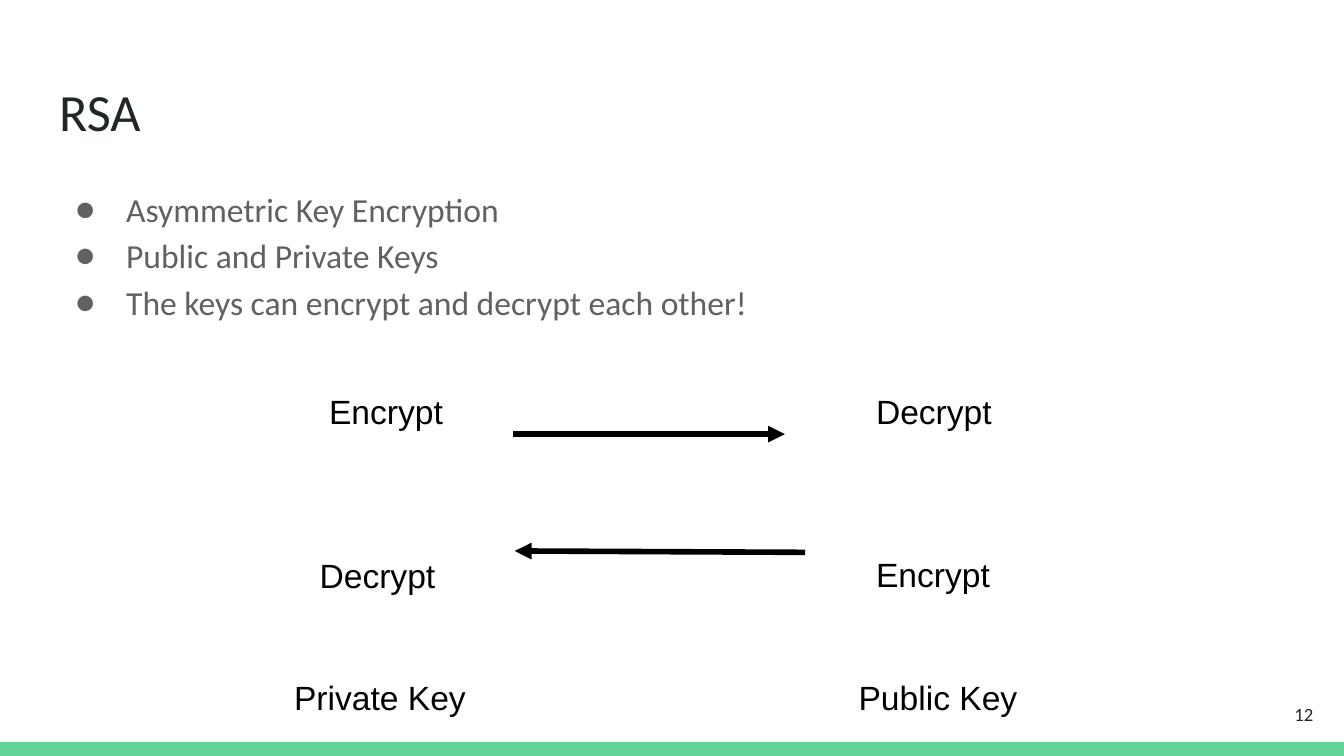
from dataclasses import dataclass

from lxml import etree
from pptx import Presentation
from pptx.dml.color import RGBColor
from pptx.enum import shapes, text
from pptx.oxml import ns
from pptx.util import Inches, Pt


@dataclass(frozen=True)
class Theme:
    ink: str = "202729"
    grey: str = "616161"
    black: str = "000000"
    green: str = "63D297"
    head: str = "Calibri"
    label: str = "Arial"
    big: int = 28
    mid: int = 18
    small: int = 10
    line: int = 3


THEME = Theme()


def rgb(code):
    return RGBColor.from_string(code)


def style(para, face, size, color):
    for run in para.runs:
        run.font.name = face
        run.font.size = Pt(size)
        run.font.color.rgb = rgb(color)


def set_frame(frame, anchor=text.MSO_ANCHOR.TOP):
    frame.word_wrap = True
    frame.auto_size = text.MSO_AUTO_SIZE.NONE
    frame.vertical_anchor = anchor
    frame.margin_left = frame.margin_right = Inches(0.1)
    frame.margin_top = frame.margin_bottom = Inches(0.1)


def add_text(slide, box, words, face, size, color, anchor=text.MSO_ANCHOR.TOP):
    shape = slide.shapes.add_textbox(*map(Inches, box))
    frame = shape.text_frame
    set_frame(frame, anchor)
    frame.text = words
    for para in frame.paragraphs:
        style(para, face, size, color)
    return frame


def add_bullet(para, face, color):
    props = para._p.get_or_add_pPr()
    props.set("marL", str(Inches(0.5)))
    props.set("indent", str(Inches(-0.38)))
    tint = etree.SubElement(props, ns.qn("a:buClr"))
    etree.SubElement(tint, ns.qn("a:srgbClr"), val=color)
    etree.SubElement(props, ns.qn("a:buFont"), typeface=face)
    etree.SubElement(props, ns.qn("a:buChar"), char="●")


def add_arrow(slide, start, end):
    line = slide.shapes.add_connector(
        shapes.MSO_CONNECTOR.STRAIGHT, *map(Inches, start + end))
    line.line.color.rgb = rgb(THEME.black)
    line.line.width = Pt(THEME.line)
    etree.SubElement(line.line._get_or_add_ln(), ns.qn("a:tailEnd"), type="triangle")
    etree.SubElement(line._element.spPr, ns.qn("a:effectLst"))


def add_title(slide, box, words):
    title = slide.shapes.title
    title.left, title.top, title.width, title.height = map(Inches, box)
    frame = title.text_frame
    set_frame(frame)
    frame.text = words
    para = frame.paragraphs[0]
    para.alignment = text.PP_ALIGN.LEFT
    style(para, THEME.head, THEME.big, THEME.ink)


def add_points(slide, box, points):
    frame = add_text(slide, box, "\n".join(points),
                     THEME.head, THEME.mid, THEME.grey)
    for para in frame.paragraphs:
        add_bullet(para, THEME.head, THEME.grey)
        para.line_spacing = 1.15


def add_flow(slide, box):
    """Show each key undoing the other, with the key names below."""
    left, top = box[:2]
    labels = [
        ("Encrypt", 0.26, 0, 2.2),
        ("Decrypt", 4.33, 0, 1.13),
        ("Decrypt", 0.19, 1.22, 1.13),
        ("Encrypt", 4.33, 1.21, 1.24),
        ("Private Key", 0, 2.13, 1.64),
        ("Public Key", 4.2, 2.13, 1.64),
    ]
    for words, x, y, wide in labels:
        add_text(slide, (left + x, top + y, wide, 0.43), words,
                 THEME.label, THEME.mid, THEME.black)
    add_arrow(slide, (left + 1.73, top + 0.42), (left + 3.75, top + 0.42))
    add_arrow(slide, (left + 3.9, top + 1.3), (left + 1.74, top + 1.29))


def add_foot(slide, box, number):
    left, top, wide, high = box
    bar = slide.shapes.add_shape(
        shapes.MSO_SHAPE.RECTANGLE, *map(Inches, box))
    bar.shadow.inherit = False
    bar.fill.solid()
    bar.fill.fore_color.rgb = rgb(THEME.green)
    bar.line.fill.background()
    frame = add_text(slide, (left + wide - 0.73, top - 0.42, 0.6, 0.43), number,
                     THEME.head, THEME.small, THEME.ink, text.MSO_ANCHOR.MIDDLE)
    frame.paragraphs[0].alignment = text.PP_ALIGN.RIGHT


def main():
    deck = Presentation()
    deck.slide_width, deck.slide_height = Inches(10), Inches(10 * 9 / 16)
    slide = deck.slides.add_slide(deck.slide_layouts.get_by_name("Title Only"))
    add_foot(slide, (0, 5.52, 10, 0.11), "12")
    add_title(slide, (0.34, 0.49, 9.32, 0.63), "RSA")
    add_points(slide, (0.34, 1.26, 9.32, 3.74), [
        "Asymmetric Key Encryption",
        "Public and Private Keys",
        "The keys can encrypt and decrypt each other!",
    ])
    add_flow(slide, (2.09, 2.81, 5.84, 2.56))
    deck.save("out.pptx")


if __name__ == "__main__":
    main()
